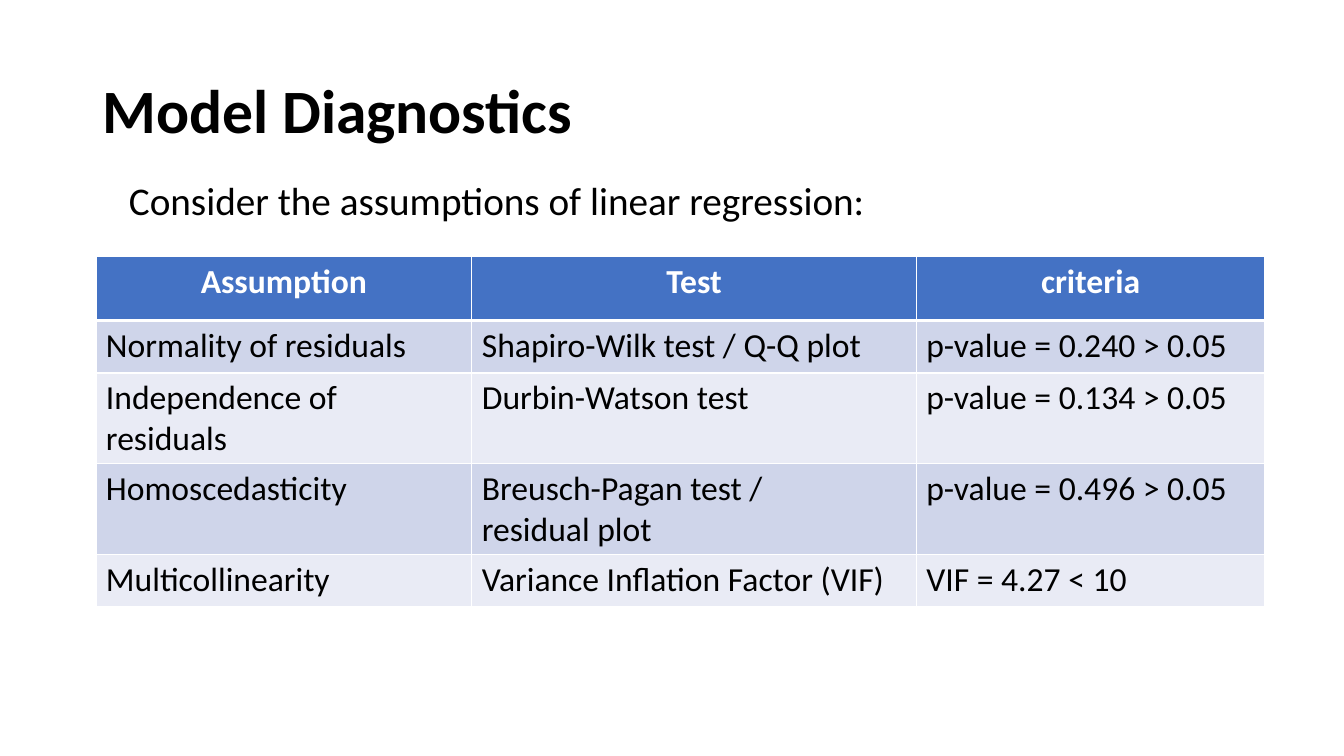
"""Build the model diagnostics slide with its table of regression assumptions."""
from dataclasses import dataclass

from lxml.etree import SubElement
from pptx import Presentation
from pptx.dml.color import RGBColor as Color
from pptx.enum.text import MSO_ANCHOR as Anchor, MSO_AUTO_SIZE as AutoSize, PP_ALIGN as Align
from pptx.oxml.ns import qn
from pptx.util import Pt


@dataclass(frozen=True)
class Theme:
    font: str = "Calibri"
    text: str = "000000"
    light: str = "FFFFFF"
    header: str = "4472C4"
    bands: tuple = ("CFD5EA", "E9EBF5")
    title_size: int = 44
    body_size: int = 28
    table_size: int = 24


class SlideBuilder:
    def __init__(self, presentation, theme):
        self.theme = theme
        self.slide = presentation.slides.add_slide(presentation.slide_layouts[5])

    def style(self, paragraph, size, color, bold=False, align=Align.LEFT):
        paragraph.alignment = align
        font = paragraph.font
        font.name, font.size, font.bold = self.theme.font, Pt(size), bold
        font.color.rgb = Color.from_string(color)

    def place(self, shape, box):
        shape.left, shape.top, shape.width, shape.height = map(Pt, box)

    def title(self, text, box):
        shape = self.slide.shapes.title
        self.place(shape, box)
        frame = shape.text_frame
        frame.text = text
        frame.auto_size = AutoSize.NONE
        frame.vertical_anchor = Anchor.MIDDLE
        paragraph = frame.paragraphs[0]
        paragraph.line_spacing = 0.9
        self.style(paragraph, self.theme.title_size, self.theme.text, bold=True)

    def text(self, text, box):
        frame = self.slide.shapes.add_textbox(*map(Pt, box)).text_frame
        frame.word_wrap = True
        frame.text = text
        paragraph = frame.paragraphs[0]
        paragraph.line_spacing = 0.9
        paragraph.space_before = Pt(10)
        self.style(paragraph, self.theme.body_size, self.theme.text)

    def borders(self, cell, bottom_width):
        properties = cell._tc.get_or_add_tcPr()
        for side, width in (("L", 1), ("R", 1), ("T", 1), ("B", bottom_width)):
            line = SubElement(properties, qn(f"a:ln{side}"), w=str(Pt(width)))
            fill = SubElement(line, qn("a:solidFill"))
            SubElement(fill, qn("a:srgbClr"), val=self.theme.light)

    def table(self, rows, left, top, widths, heights):
        shape = self.slide.shapes.add_table(
            len(rows), len(widths), Pt(left), Pt(top), Pt(sum(widths)), Pt(sum(heights)))
        table = shape.table
        for column, width in zip(table.columns, widths):
            column.width = Pt(width)
        for index, (row, height) in enumerate(zip(table.rows, heights)):
            row.height = Pt(height)
            is_header = index == 0
            for cell, text in zip(row.cells, rows[index]):
                self.cell(cell, text, is_header, self.theme.bands[(index - 1) % 2])

    def cell(self, cell, text, is_header, band):
        self.borders(cell, 3 if is_header else 1)
        cell.fill.solid()
        cell.fill.fore_color.rgb = Color.from_string(self.theme.header if is_header else band)
        cell.text = text
        color = self.theme.light if is_header else self.theme.text
        align = Align.CENTER if is_header else Align.LEFT
        for paragraph in cell.text_frame.paragraphs:
            self.style(paragraph, self.theme.table_size, color, is_header, align)


def main():
    presentation = Presentation()
    presentation.slide_width, presentation.slide_height = Pt(960), Pt(540)
    builder = SlideBuilder(presentation, Theme())
    builder.title("Model Diagnostics", (66, 28.8, 828, 104.4))
    builder.text("Consider the assumptions of linear regression:", (85, 126, 790.5, 64))
    assumptions = [
        ("Assumption", "Test", "criteria"),
        ("Normality of residuals", "Shapiro-Wilk test / Q-Q plot", "p-value = 0.240 > 0.05"),
        ("Independence of residuals", "Durbin-Watson test", "p-value = 0.134 > 0.05"),
        ("Homoscedasticity", "Breusch-Pagan test /\nresidual plot", "p-value = 0.496 > 0.05"),
        ("Multicollinearity", "Variance Inflation Factor (VIF)", "VIF = 4.27 < 10"),
    ]
    builder.table(assumptions, 68.5, 183, (268.5, 317.5, 249), (46, *[37.4] * 4))
    presentation.save("out.pptx")


if __name__ == "__main__":
    main()
